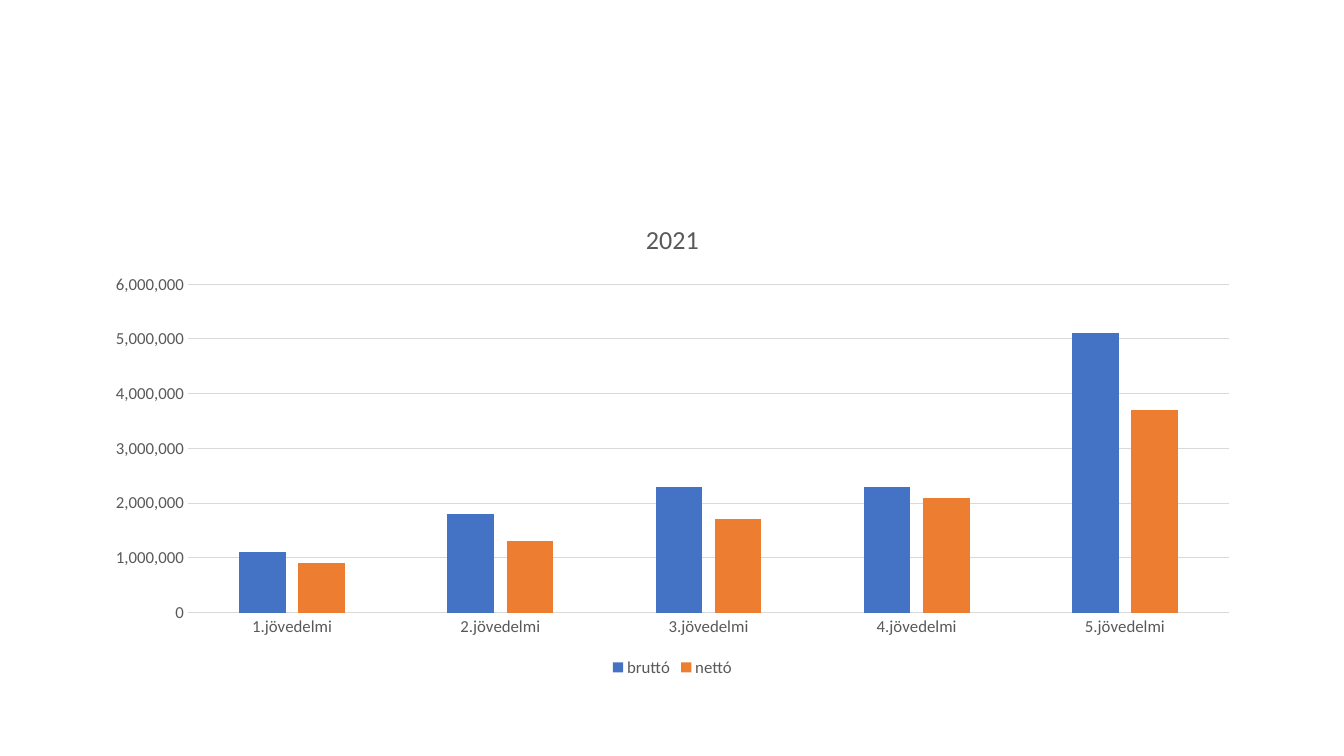
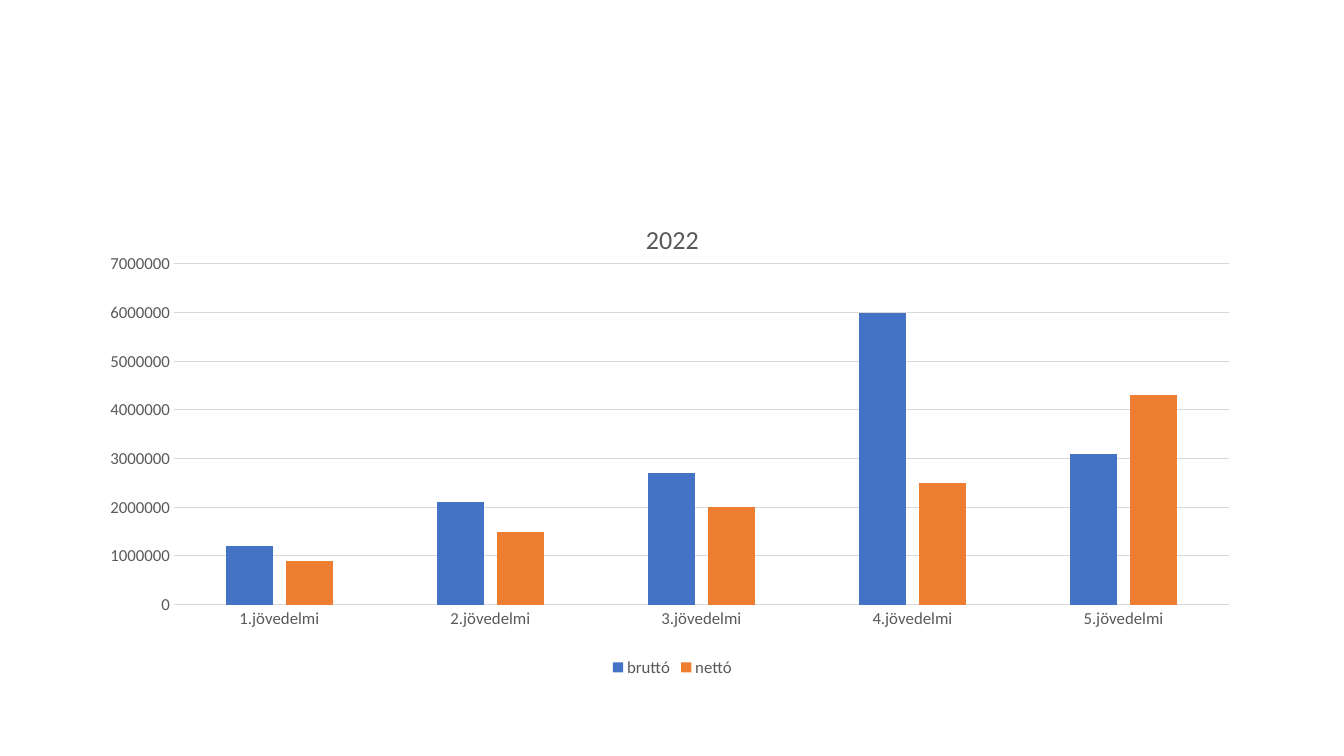
from lxml.etree import SubElement
from pptx import Presentation
from pptx.chart.data import CategoryChartData as ChartData
from pptx.dml.color import RGBColor
from pptx.enum.chart import XL_CHART_TYPE as Kind, XL_LEGEND_POSITION as Place
from pptx.enum.chart import XL_TICK_MARK as Tick
from pptx.oxml.ns import qn
from pptx.util import Inches, Pt

FONT = "Calibri"
GREY = RGBColor(0x59, 0x59, 0x59)
PALE = RGBColor(0xD9, 0xD9, 0xD9)
BLUE = RGBColor(0x44, 0x72, 0xC4)
ORANGE = RGBColor(0xED, 0x7D, 0x31)

GROUPS = [f"{n}.jövedelmi" for n in range(1, 6)]
MILLION = 1_000_000


def set_font(font, size):
    font.name = FONT
    font.size = Pt(size)
    font.bold = False
    font.color.rgb = GREY


def set_line(line):
    line.color.rgb = PALE
    line.width = Pt(0.75)


def set_title(chart, text):
    chart.has_title = True
    frame = chart.chart_title.text_frame
    frame.text = text
    set_font(frame.paragraphs[0].runs[0].font, 18.6)
    chart.chart_title.include_in_layout = False


def set_axes(chart, top, form):
    for axis in (chart.category_axis, chart.value_axis):
        axis.major_tick_mark = axis.minor_tick_mark = Tick.NONE
        set_font(axis.tick_labels.font, 12)
    set_line(chart.category_axis.format.line)
    scale = chart.value_axis
    scale.format.line.fill.background()
    set_line(scale.major_gridlines.format.line)
    scale.minimum_scale = 0
    scale.maximum_scale = top * MILLION
    scale.major_unit = MILLION
    scale.tick_labels.number_format = form
    scale.tick_labels.number_format_is_linked = False


def set_legend(chart):
    chart.has_legend = True
    chart.legend.position = Place.BOTTOM
    chart.legend.include_in_layout = False
    set_font(chart.legend.font, 12)


def set_bars(chart):
    plot = chart.plots[0]
    plot.gap_width = 219
    plot.overlap = -27
    plot.vary_by_categories = False
    for bars, color in zip(plot.series, (BLUE, ORANGE)):
        bars.format.fill.solid()
        bars.format.fill.fore_color.rgb = color
        bars.invert_if_negative = False


def set_area(chart, area):
    """Fix the inner plot area, as shares (x, y, w, h) of the chart."""
    root = chart.plots[0]._element.getparent()
    for old in root.findall(qn("c:layout")):
        root.remove(old)
    layout = SubElement(root, qn("c:layout"))
    root.insert(0, layout)
    manual = SubElement(layout, qn("c:manualLayout"))
    marks = [("layoutTarget", "inner"), ("xMode", "edge"), ("yMode", "edge")]
    for tag, val in marks + list(zip("xywh", area)):
        SubElement(manual, qn(f"c:{tag}")).set("val", str(val))


def add_year(deck, year, gross, net, top, form, area=None):
    slide = deck.slides.add_slide(deck.slide_layouts[6])
    data = ChartData(number_format=form)
    data.categories = GROUPS
    for name, vals in (("bruttó", gross), ("nettó", net)):
        data.add_series(name, [round(val * MILLION) for val in vals])
    chart = slide.shapes.add_chart(
        Kind.COLUMN_CLUSTERED, Inches(0.92), Inches(2),
        Inches(11.5), Inches(4.76), data).chart
    set_font(chart.font, 12)
    set_title(chart, year)
    set_axes(chart, top, form)
    set_legend(chart)
    set_bars(chart)
    if area:
        set_area(chart, area)


def main():
    deck = Presentation()
    deck.slide_width = Inches(13.33)
    deck.slide_height = Inches(7.5)
    add_year(deck, "2021", (1.1, 1.8, 2.3, 2.3, 5.1),
             (0.9, 1.3, 1.7, 2.1, 3.7), 6, "#,##0")
    add_year(deck, "2022", (1.2, 2.1, 2.7, 6, 3.1),
             (0.9, 1.5, 2, 2.5, 4.3), 7, "General",
             (0.07, 0.13, 0.91, 0.71))
    deck.save("out.pptx")


if __name__ == "__main__":
    main()
